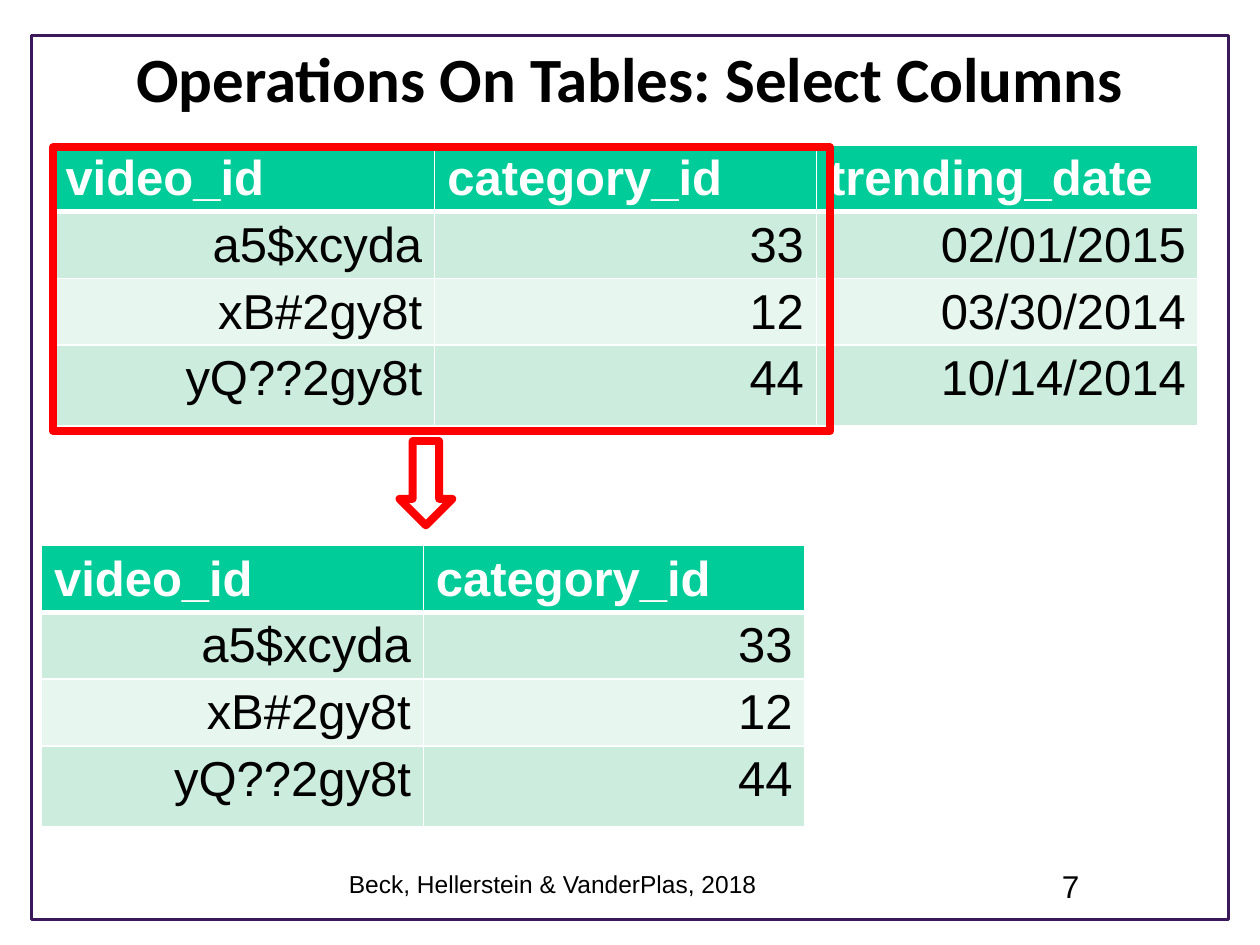
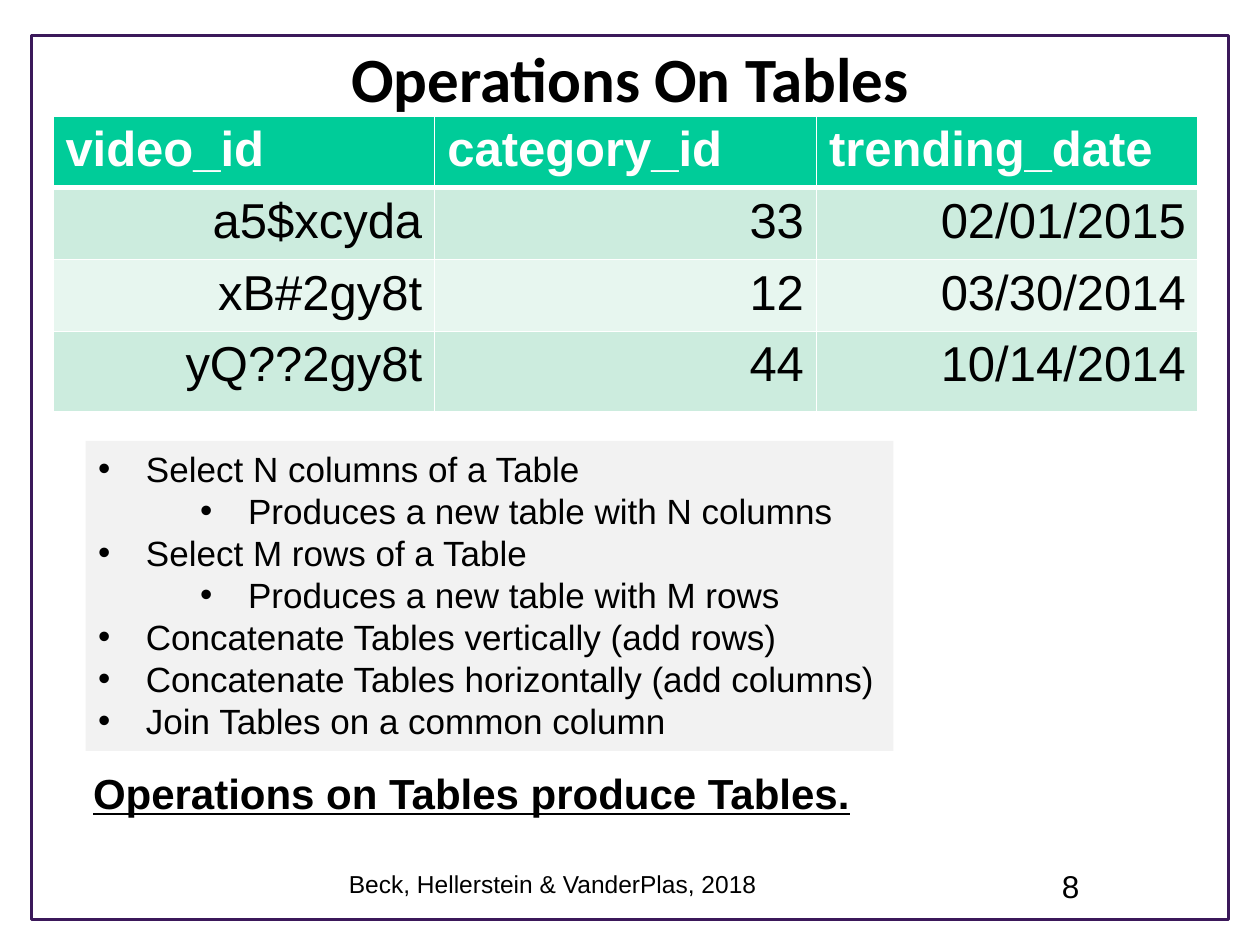
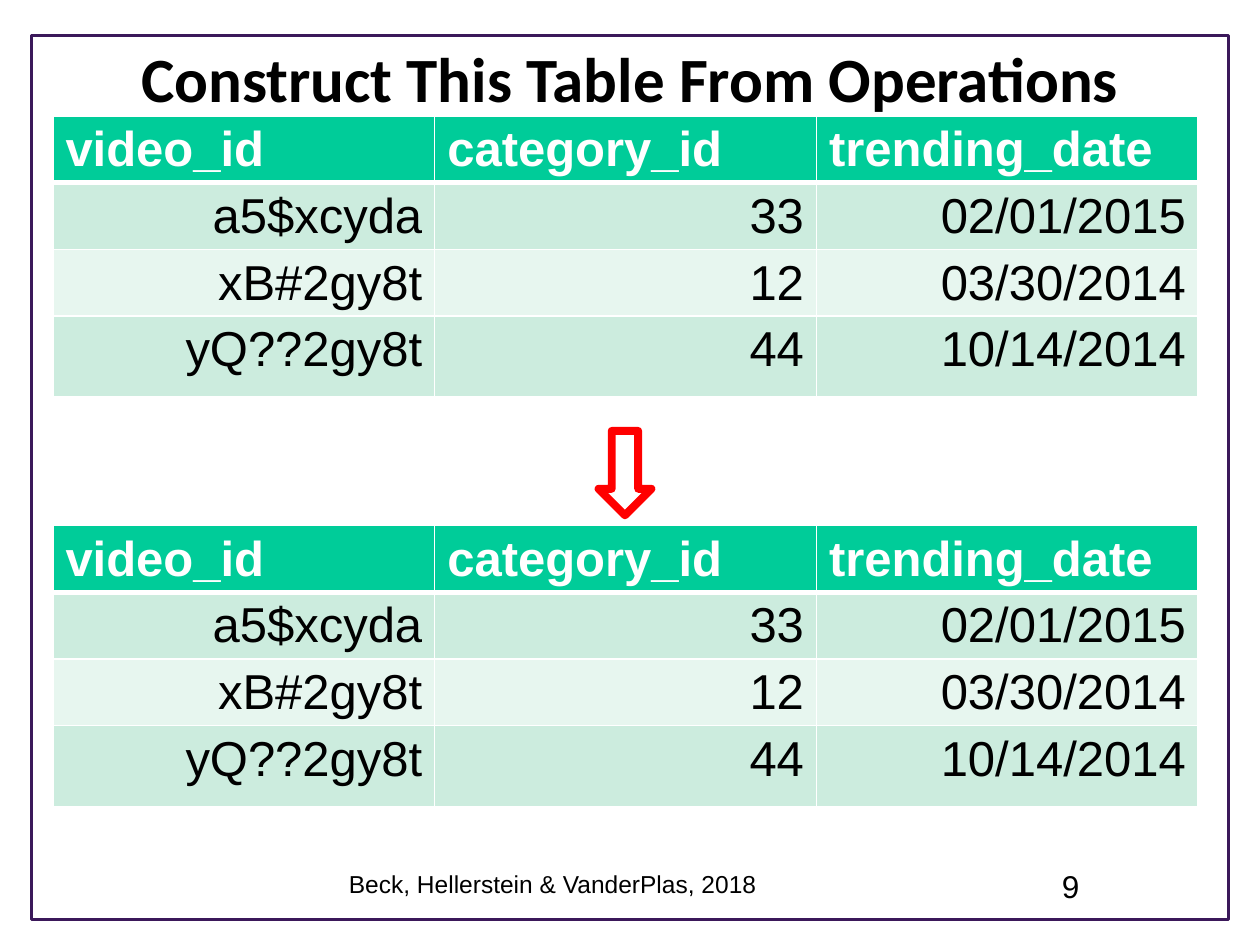
from dataclasses import dataclass

from lxml import etree
from pptx import Presentation
from pptx.dml.color import RGBColor
from pptx.enum.shapes import MSO_SHAPE
from pptx.enum.text import MSO_ANCHOR, MSO_AUTO_SIZE, PP_ALIGN
from pptx.oxml.ns import qn
from pptx.util import Inches, Pt

RECTANGLE = MSO_SHAPE.RECTANGLE
DOWN_ARROW = MSO_SHAPE.DOWN_ARROW
MIDDLE = MSO_ANCHOR.MIDDLE
FIXED = MSO_AUTO_SIZE.NONE
GROW = MSO_AUTO_SIZE.SHAPE_TO_FIT_TEXT
LEFT, CENTER, RIGHT = PP_ALIGN.LEFT, PP_ALIGN.CENTER, PP_ALIGN.RIGHT
TITLE_ONLY = 5


@dataclass(frozen=True)
class Theme:
    """Colours, fonts and sizes shared by the slides."""
    ink: str = "000000"
    white: str = "FFFFFF"
    border: str = "3B185A"
    accent: str = "FF0000"
    header: str = "00CC99"
    bands: tuple = ("CCECDE", "E7F6EF")
    panel: str = "F2F2F2"
    title_font: str = "Calibri"
    body_font: str = "Arial"
    title_size: int = 36
    table_size: int = 28
    claim_size: int = 24
    bullet_size: int = 20
    number_size: int = 18
    footer_size: int = 14
    border_width: float = 1.75
    accent_width: float = 4.5
    rule_width: int = 1
    header_rule_width: int = 3


THEME = Theme()
FOOTER = "Beck, Hellerstein & VanderPlas, 2018"
VIDEOS = [
    ("video_id", "category_id", "trending_date"),
    ("a5$xcyda", "33", "02/01/2015"),
    ("xB#2gy8t", "12", "03/30/2014"),
    ("yQ??2gy8t", "44", "10/14/2014"),
]
SELECTED_COLUMNS = [row[:2] for row in VIDEOS]
OPERATIONS = [
    (0, "Select N columns of a Table"),
    (1, "Produces a new table with N columns"),
    (0, "Select M rows of a Table"),
    (1, "Produces a new table with M rows"),
    (0, "Concatenate Tables vertically (add rows)"),
    (0, "Concatenate Tables horizontally (add columns)"),
    (0, "Join Tables on a common column"),
]
TITLE_TOP = 0.3
HIGH_TABLE_TOP = 0.92
COLUMN_WIDTH = 3.03
LAST_ROW_HEIGHT = 0.64
CELL_BOTTOM_MARGIN = 0.01
BULLET_HANG = 0.38
BULLET_INDENTS = (0.38, 1.19)


def write(paragraph, text, *, size, font=THEME.body_font, color=THEME.ink,
          bold=False, underline=False, align=LEFT):
    """Put formatted text into a paragraph."""
    paragraph.alignment = align
    run = paragraph.add_run()
    run.text = text
    run.font.name = font
    run.font.size = Pt(size)
    run.font.bold = bold
    run.font.underline = underline
    run.font.color.rgb = RGBColor.from_string(color)


def add_text_frame(slide, left, top, width, height, *, fill=None, grow=False):
    """Add a text box and return its text frame."""
    box = slide.shapes.add_textbox(*map(Inches, (left, top, width, height)))
    if fill:
        box.fill.solid()
        box.fill.fore_color.rgb = RGBColor.from_string(fill)
    frame = box.text_frame
    frame.word_wrap = not grow
    if grow:
        frame.auto_size = GROW
    return frame


def add_outline(slide, preset, left, top, width, height, *,
                color=THEME.accent, weight=THEME.accent_width):
    """Add an unfilled shape with a coloured line."""
    outline = slide.shapes.add_shape(
        preset, *map(Inches, (left, top, width, height)))
    outline.shadow.inherit = False
    outline.fill.background()
    outline.line.color.rgb = RGBColor.from_string(color)
    outline.line.width = Pt(weight)


def add_arrow(slide, left, top):
    """Add the red arrow that leads to the resulting table."""
    add_outline(slide, DOWN_ARROW, left, top, 0.42, 0.67)


def rule_cell(cell, **widths):
    """Draw white rules on the sides L, R, T and B of a cell."""
    properties = cell._tc.get_or_add_tcPr()
    for side in "LRTB":
        width = widths.get(side, THEME.rule_width)
        rule = etree.SubElement(properties, qn(f"a:ln{side}"), w=str(Pt(width)))
        fill = etree.SubElement(rule, qn("a:solidFill"))
        etree.SubElement(fill, qn("a:srgbClr"), val=THEME.white)


def style_cell(cell, text, row):
    """Format a cell as a header or as part of a banded row."""
    is_header = row == 0
    rules = {0: {"B": THEME.header_rule_width},
             1: {"T": THEME.header_rule_width}}
    rule_cell(cell, **rules.get(row, {}))
    background = THEME.header if is_header else THEME.bands[(row - 1) % 2]
    cell.fill.solid()
    cell.fill.fore_color.rgb = RGBColor.from_string(background)
    cell.margin_bottom = Inches(CELL_BOTTOM_MARGIN)
    write(cell.text_frame.paragraphs[0], text, size=THEME.table_size,
          color=THEME.white if is_header else THEME.ink,
          bold=is_header, align=LEFT if is_header else RIGHT)


def add_video_table(slide, records, left, top, row_height=0.53):
    """Add a table of videos whose last row is taller."""
    heights = [row_height] * (len(records) - 1) + [LAST_ROW_HEIGHT]
    columns = len(records[0])
    table = slide.shapes.add_table(
        len(records), columns, Inches(left), Inches(top),
        Inches(COLUMN_WIDTH * columns), Inches(sum(heights))).table
    table.horz_banding = False
    for column in table.columns:
        column.width = Inches(COLUMN_WIDTH)
    for row, (record, height) in enumerate(zip(records, heights)):
        table.rows[row].height = Inches(height)
        for column, text in enumerate(record):
            style_cell(table.cell(row, column), text, row)


def add_bullet(paragraph, level, text):
    """Write a bulleted line with a hanging indent."""
    paragraph.level = level
    write(paragraph, text, size=THEME.bullet_size)
    properties = paragraph._p.get_or_add_pPr()
    properties.set("marL", str(Inches(BULLET_INDENTS[level])))
    properties.set("indent", str(-Inches(BULLET_HANG)))
    etree.SubElement(properties, qn("a:buFont"), typeface=THEME.body_font)
    etree.SubElement(properties, qn("a:buChar"), char="•")


def add_operations(slide):
    """Add the grey panel that lists the table operations."""
    frame = add_text_frame(slide, 0.68, 3.5, 6.41, 2.46,
                           fill=THEME.panel, grow=True)
    for index, (level, text) in enumerate(OPERATIONS):
        paragraph = frame.add_paragraph() if index else frame.paragraphs[0]
        add_bullet(paragraph, level, text)


def set_title(slide, heading):
    """Fit the title between the border and the highest table."""
    title = slide.shapes.title
    title.left, title.top = Inches(0.5), Inches(TITLE_TOP)
    title.width = Inches(9)
    title.height = Inches(HIGH_TABLE_TOP - TITLE_TOP)
    frame = title.text_frame
    frame.auto_size = FIXED
    frame.vertical_anchor = MIDDLE
    frame.margin_top = frame.margin_bottom = 0
    write(frame.paragraphs[0], heading, size=THEME.title_size,
          font=THEME.title_font, bold=True, align=CENTER)


def start_slide(deck, heading, number):
    """Add a slide with border, title, footer and number."""
    slide = deck.slides.add_slide(deck.slide_layouts[TITLE_ONLY])
    add_outline(slide, RECTANGLE, 0.25, 0.28, 9.5, 7.02,
                color=THEME.border, weight=THEME.border_width)
    set_title(slide, heading)
    footer = add_text_frame(slide, 2.67, 6.85, 3.92, 0.4)
    write(footer.paragraphs[0], FOOTER, size=THEME.footer_size)
    page = add_text_frame(slide, 8.33, 6.83, 0.58, 0.4)
    write(page.paragraphs[0], str(number), size=THEME.number_size)
    return slide


def build_select_columns(deck):
    """Show two columns being selected from a table."""
    slide = start_slide(deck, "Operations On Tables: Select Columns", 7)
    add_video_table(slide, VIDEOS, 0.42, 1.15)
    add_outline(slide, RECTANGLE, 0.42, 1.17, 6.17, 2.25)
    add_arrow(slide, 3.17, 3.5)
    add_video_table(slide, SELECTED_COLUMNS, 0.33, 4.33)


def build_operations(deck):
    """List the operations available on a table."""
    slide = start_slide(deck, "Operations On Tables", 8)
    add_operations(slide)
    claim = add_text_frame(slide, 0.64, 6.04, 6.26, 0.5, grow=True)
    write(claim.paragraphs[0], "Operations on Tables produce Tables.",
          size=THEME.claim_size, bold=True, underline=True)
    add_video_table(slide, VIDEOS, 0.42, HIGH_TABLE_TOP, row_height=0.57)


def build_construction(deck):
    """Ask for a table to be built from another one."""
    slide = start_slide(deck, "Construct This Table From Operations", 9)
    for top in (HIGH_TABLE_TOP, 4.17):
        add_video_table(slide, VIDEOS, 0.42, top)
    add_arrow(slide, 4.75, 3.42)


def main():
    """Build the deck and save it."""
    deck = Presentation()
    deck.slide_width, deck.slide_height = Inches(10), Inches(7.5)
    build_select_columns(deck)
    build_operations(deck)
    build_construction(deck)
    deck.save("out.pptx")


if __name__ == "__main__":
    main()
